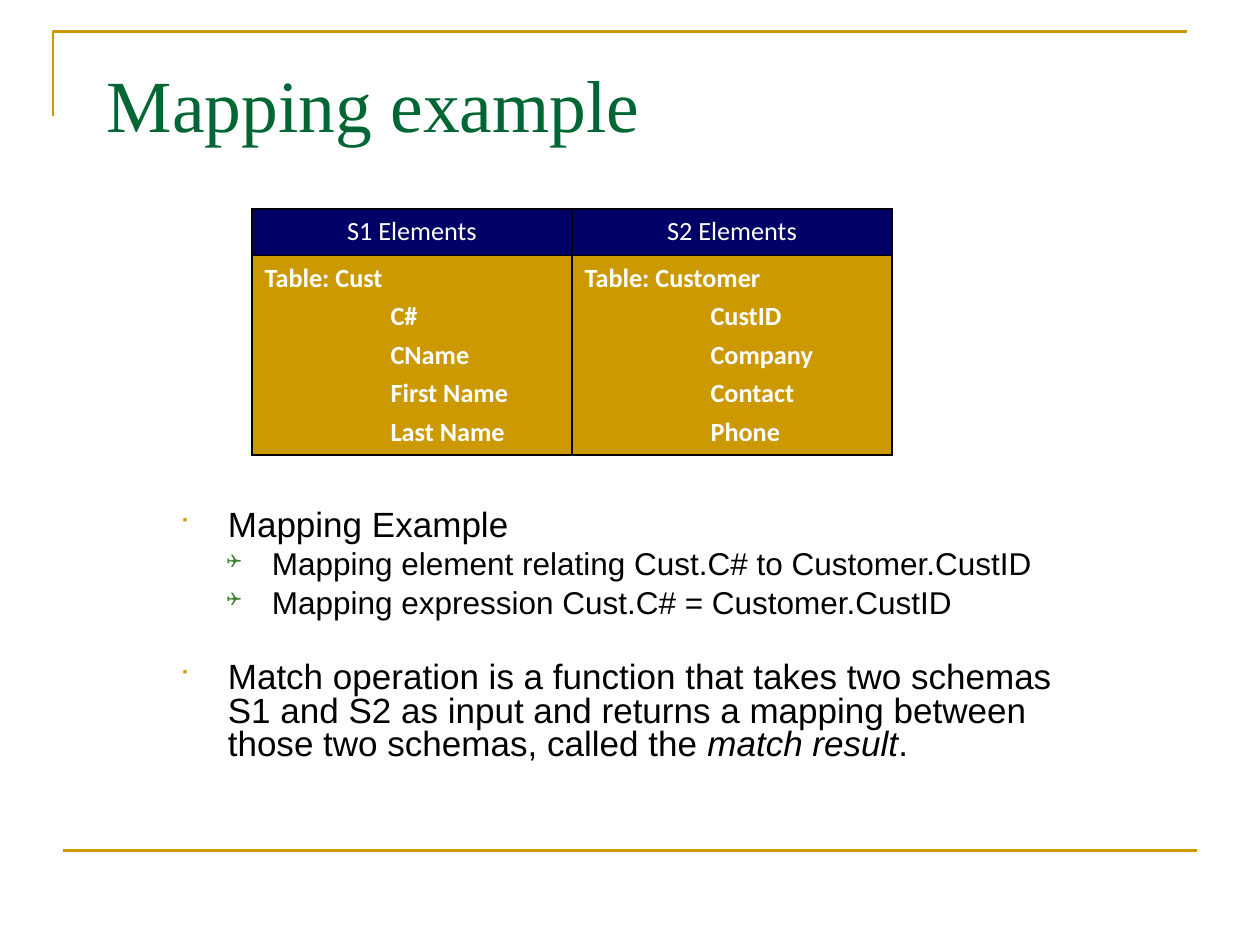
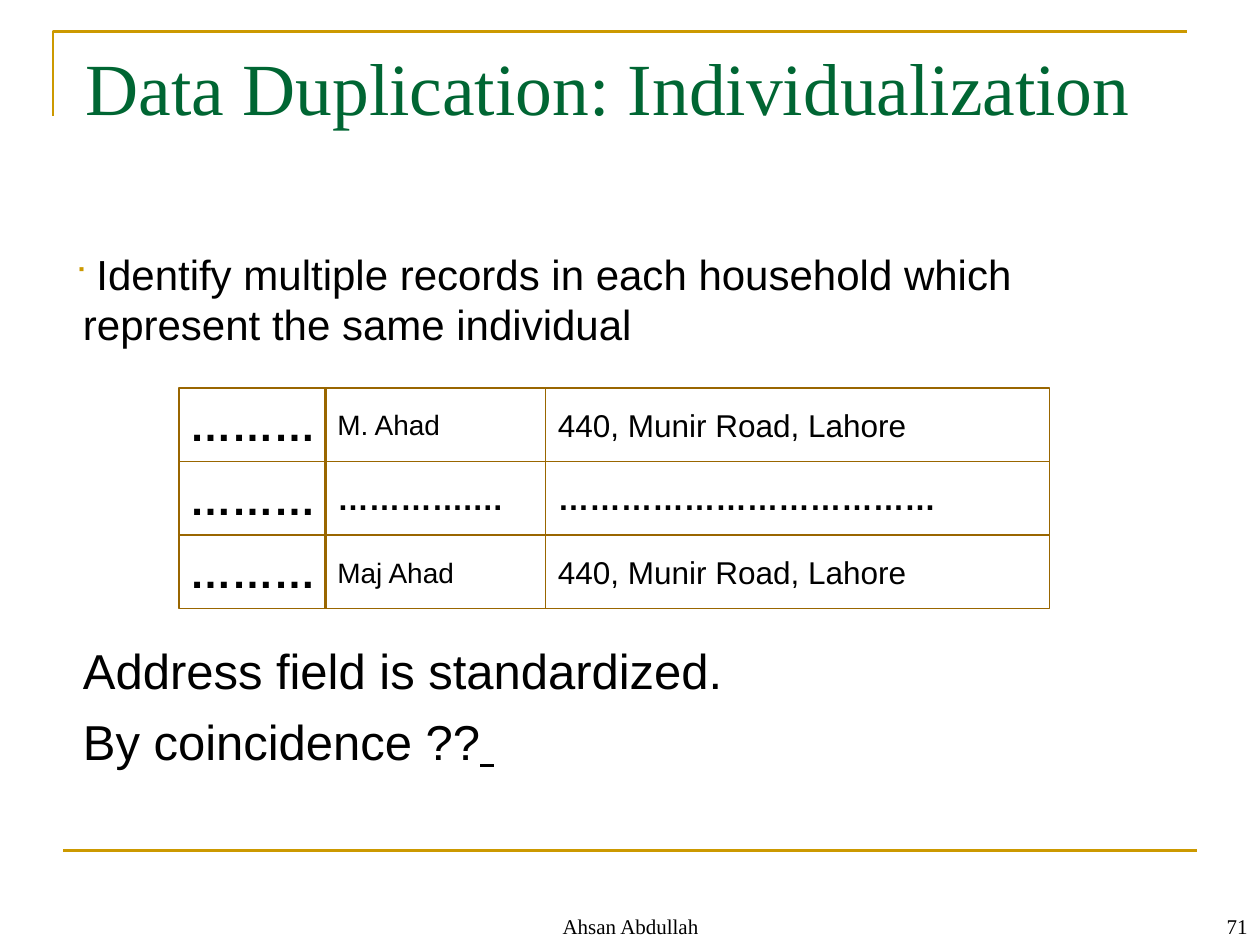
from lxml import etree
from pptx import Presentation
from pptx.dml.color import RGBColor
from pptx.enum.shapes import MSO_CONNECTOR, MSO_SHAPE
from pptx.enum.text import MSO_ANCHOR, PP_ALIGN
from pptx.oxml.ns import qn
from pptx.util import Inches, Pt

LEFT, CENTER, RIGHT = PP_ALIGN.LEFT, PP_ALIGN.CENTER, PP_ALIGN.RIGHT
TOP, MIDDLE, BOTTOM = MSO_ANCHOR.TOP, MSO_ANCHOR.MIDDLE, MSO_ANCHOR.BOTTOM
RECTANGLE, STRAIGHT = MSO_SHAPE.RECTANGLE, MSO_CONNECTOR.STRAIGHT

WIDTH, HEIGHT = 10, 7.5
GOLD, BROWN, GREEN, NAVY = "CC9900", "996600", "006633", "000066"
BULLET_GREEN, BLACK, WHITE = "3B812F", "000000", "FFFFFF"
SERIF, SANS, TABLE_FONT, BULLET_FONT = "Times New Roman", "Arial", "Calibri", "Wingdings"

# Bullets: character, colour, size in percent
SQUARE = ("■", GOLD, 65)
BOX = ("❑", BULLET_GREEN, 60)

# A paragraph is its runs, each (text, style), and its format
TOPIC = dict(size=20, bullet=SQUARE, left=0.38, hang=0.38, line_spacing=0.8)
DETAIL = dict(size=18, bullet=BOX, left=0.73, hang=0.36, line_spacing=0.8, before=4.5)
REMARK = dict(size=28, left=0.06)

MAPPING_POINTS = [
    ([("Mapping Example", "")], dict(TOPIC, before=5)),
    ([("Mapping element relating Cust.C# to Customer.CustID", "")], DETAIL),
    ([("Mapping expression Cust.C# = Customer.CustID", "")], DETAIL),
    ([("Match operation is a function that takes two schemas S1 and S2 as input "
       "and returns a mapping between those two schemas, called the ", ""),
      ("match result", "italic"), (".", "")], dict(TOPIC, before=24.4)),
]
SCHEMAS = [
    ("S1 Elements", "Table: Cust", ["C#", "CName", "First Name", "Last Name"]),
    ("S2 Elements", "Table: Customer", ["CustID", "Company", "Contact", "Phone"]),
]
DUPLICATION_POINTS = [
    ([(" Identify multiple records in each household which represent "
       "the same individual", "")],
     dict(size=24, bullet=SQUARE, left=0.06, hang=0.06, before=6)),
    ([("Address field is standardized.", "")], dict(REMARK, before=166.5)),
    ([("By coincidence ??", ""), (" ", "italic underline")], dict(REMARK, before=7)),
]
DOTS = "………"
RECORDS = [
    (DOTS, "M. Ahad", "440, Munir Road, Lahore"),
    (DOTS, "………….…", "………………………………"),
    (DOTS, "Maj Ahad", "440, Munir Road, Lahore"),
]
# Columns of the records: left, width, text size, alignment
RECORD_COLUMNS = [(1.42, 1.17, 24, CENTER), (2.58, 1.75, 16, LEFT), (4.33, 4, 18, LEFT)]
RECORD_TOP, RECORD_HEIGHT = 3.08, 1.75 / 3
FOOTER_AUTHOR, FOOTER_NUMBER = "Ahsan Abdullah", "71"


def rgb(hex_colour):
    return RGBColor.from_string(hex_colour)


def add_bullet(paragraph, character, colour, percent):
    properties = paragraph._p.get_or_add_pPr()
    bullet_colour = etree.SubElement(properties, qn("a:buClr"))
    etree.SubElement(bullet_colour, qn("a:srgbClr"), val=colour)
    etree.SubElement(properties, qn("a:buSzPct"), val=str(percent * 1000))
    etree.SubElement(properties, qn("a:buFont"), typeface=BULLET_FONT, charset="2")
    etree.SubElement(properties, qn("a:buChar"), char=character)


def format_paragraph(paragraph, runs, size, font=SANS, colour=BLACK, bold=False,
                     align=LEFT, bullet=None, left=0, hang=0, before=0,
                     line_spacing=None):
    if bullet:
        add_bullet(paragraph, *bullet)
    properties = paragraph._p.get_or_add_pPr()
    properties.set("marL", str(Inches(left)))
    properties.set("indent", str(-Inches(hang)))
    paragraph.alignment = align
    paragraph.space_before = Pt(before)
    if line_spacing:
        paragraph.line_spacing = line_spacing
    paragraph.font.size, paragraph.font.name = Pt(size), font
    paragraph.font.bold = bold
    paragraph.font.color.rgb = rgb(colour)
    for text, style in runs:
        run = paragraph.add_run()
        run.text = text
        if "italic" in style:
            run.font.italic = True
        if "underline" in style:
            run.font.underline = True


def fill_text(frame, paragraphs):
    for index, (runs, layout) in enumerate(paragraphs):
        paragraph = frame.add_paragraph() if index else frame.paragraphs[0]
        format_paragraph(paragraph, runs, **layout)


def add_text(slide, box, paragraphs, anchor=TOP):
    frame = slide.shapes.add_textbox(*map(Inches, box)).text_frame
    frame.word_wrap = True
    frame.vertical_anchor = anchor
    fill_text(frame, paragraphs)


def add_line_text(slide, box, text, anchor, **layout):
    add_text(slide, box, [([(text, "")], dict(layout, font=SERIF))], anchor)


def add_frame(slide):
    """Draw the gold corner at the top and the gold rule at the bottom."""
    left, top = Inches(0.42), Inches(0.25)
    builder = slide.shapes.build_freeform(left, Inches(0.92), scale=1.0)
    builder.add_line_segments([(left, top), (Inches(9.42), top)], close=False)
    corner = builder.convert_to_shape()
    corner.fill.background()
    corner.shadow.inherit = False
    rule_y = Inches(HEIGHT * 0.9)
    rule = slide.shapes.add_connector(STRAIGHT, Inches(0.5), rule_y,
                                      Inches(WIDTH - 0.5), rule_y)
    etree.SubElement(rule._element.spPr, qn("a:effectLst"))
    for shape in (corner, rule):
        shape.line.color.rgb = rgb(GOLD)
        shape.line.width = Pt(1.5)


def add_slide(presentation, title, title_box, anchor):
    slide = presentation.slides.add_slide(presentation.slide_layouts[6])
    add_frame(slide)
    add_line_text(slide, title_box, title, anchor, size=42, colour=GREEN)
    return slide


def set_borders(cell, widths):
    """Set the borders in the order left, right, top, bottom."""
    properties = cell._tc.get_or_add_tcPr()
    for side, width in zip("LRTB", widths):
        line = etree.SubElement(properties, qn(f"a:ln{side}"), w=str(Pt(width)))
        fill = etree.SubElement(line, qn("a:solidFill"))
        etree.SubElement(fill, qn("a:srgbClr"), val=BLACK)


def fill_cell(cell, colour, paragraphs):
    cell.fill.solid()
    cell.fill.fore_color.rgb = rgb(colour)
    fill_text(cell.text_frame, paragraphs)


def add_schema_table(slide):
    columns, rows = (2.54, 2.54), (0.37, 1.58)
    outer, between_columns, between_rows = 1.08, 1.47, 0.45
    box = map(Inches, (2, 1.66, sum(columns), sum(rows)))
    table = slide.shapes.add_table(len(rows), len(columns), *box).table
    table.first_row = table.horz_banding = False
    for row, height in zip(table.rows, rows):
        row.height = Inches(height)
    base = dict(size=15, font=TABLE_FONT, colour=WHITE)
    heading = dict(base, bold=True, before=3.7)
    field = dict(heading, left=1)
    for c, (schema, name, fields) in enumerate(SCHEMAS):
        table.columns[c].width = Inches(columns[c])
        sides = (between_columns, outer) if c else (outer, between_columns)
        top, bottom = table.cell(0, c), table.cell(1, c)
        set_borders(top, (*sides, outer, between_rows))
        set_borders(bottom, (*sides, between_rows, outer))
        fill_cell(top, NAVY, [([(schema, "")], dict(base, align=CENTER, before=3.7))])
        fill_cell(bottom, GOLD, [([(name, "")], heading)]
                  + [([(text, "")], field) for text in fields])


def add_record_field(slide, box, text, size, align):
    shape = slide.shapes.add_shape(RECTANGLE, *map(Inches, box))
    shape.shadow.inherit = False
    shape.fill.background()
    shape.line.color.rgb = rgb(BROWN)
    shape.line.width = Pt(0.75)
    frame = shape.text_frame
    frame.word_wrap = False
    frame.vertical_anchor = MIDDLE
    dotted = text.startswith("…")
    layout = dict(size=max(size, 18) if dotted else size, bold=dotted, align=align)
    fill_text(frame, [([(text, "")], layout)])


def build_mapping_slide(presentation):
    slide = add_slide(presentation, "Mapping example", (0.75, 0.42, 8.5, 1.25), TOP)
    add_text(slide, (1.33, 4, 7.25, 2.33), MAPPING_POINTS)
    add_schema_table(slide)


def build_duplication_slide(presentation):
    slide = add_slide(presentation, "Data Duplication: Individualization",
                      (0.58, 0.33, 8.75, 0.75), BOTTOM)
    add_line_text(slide, (3.42, 7, 3.17, 0.5), FOOTER_AUTHOR, BOTTOM, size=12, align=CENTER)
    add_line_text(slide, (7.92, 7, 2.08, 0.5), FOOTER_NUMBER, BOTTOM, size=12, align=RIGHT)
    add_text(slide, (0.5, 1.92, 8.58, 4.92), DUPLICATION_POINTS)
    for row, record in enumerate(RECORDS):
        top = RECORD_TOP + row * RECORD_HEIGHT
        for text, (left, width, size, align) in zip(record, RECORD_COLUMNS):
            add_record_field(slide, (left, top, width, RECORD_HEIGHT), text, size, align)


def main():
    presentation = Presentation()
    presentation.slide_width, presentation.slide_height = Inches(WIDTH), Inches(HEIGHT)
    build_mapping_slide(presentation)
    build_duplication_slide(presentation)
    presentation.save("out.pptx")


if __name__ == "__main__":
    main()
